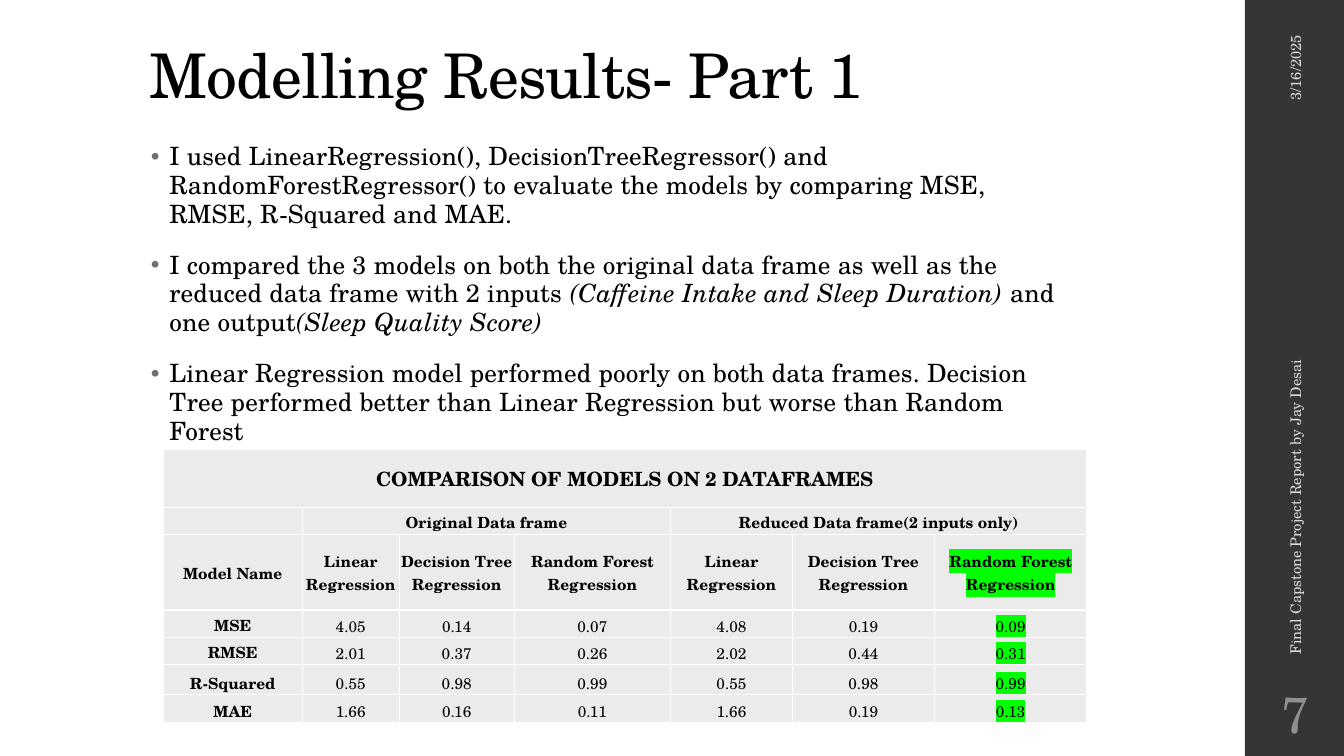
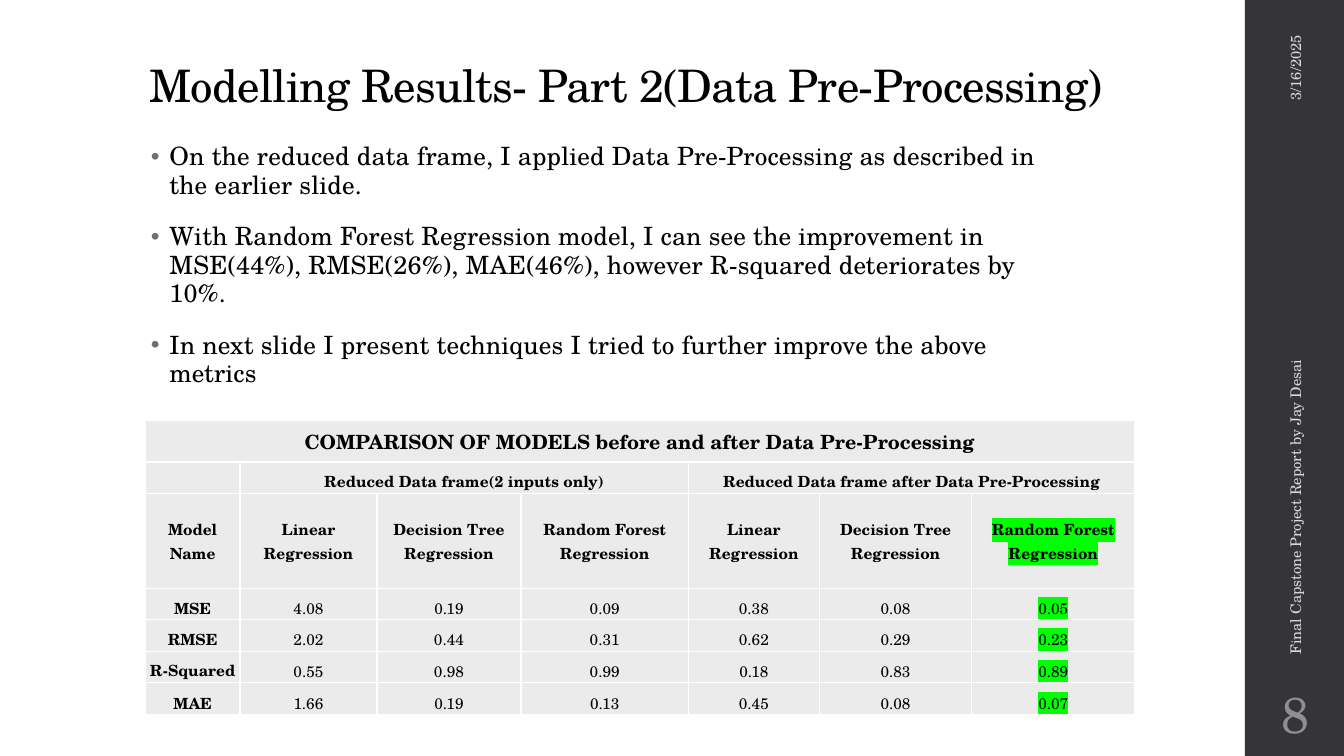
from lxml.etree import SubElement
from pptx import Presentation
from pptx.dml.color import RGBColor
from pptx.enum.shapes import MSO_SHAPE
from pptx.enum.text import MSO_ANCHOR as Anchor, PP_ALIGN as Align
from pptx.oxml import parse_xml
from pptx.oxml.ns import nsdecls, qn
from pptx.util import Cm, Pt

FONT = "TeX Gyre Schola"
COLORS = {
    "text": "000000",
    "band": "353537",
    "footer": "D9D9DB",
    "number": "8E8E94",
    "bullet": "6F6F74",
    "cell": "EBEBEB",
    "border": "FFFFFF",
    "highlight": "00FF00",
}
TITLE_BOX = (3.51, 1.02, 26.92, 1.93)
BODY_BOX = (3.51, 3.47, 23.88, 15.34)
DATE_BOX = (30, 2.77, 5.28, 1.02)
FOOTER_BOX = (27.66, 11.25, 9.96, 1.02)
NUMBER_BOX = (31.37, 17.15, 2.54, 1.65)
MODELS = ["Linear Regression", "Decision Tree Regression", "Random Forest Regression"]
METRICS = ["MSE", "RMSE", "R-Squared", "MAE"]
CELL_FORMAT = {
    "margin_left": Cm(0.03),
    "margin_right": Cm(0.03),
    "margin_top": Cm(0.03),
    "margin_bottom": Cm(0),
}

SLIDES = [
    {
        "title": "Modelling Results- Part 1",
        "title_size": 44,
        "number": "7",
        "bullets": [
            ["I used LinearRegression(), DecisionTreeRegressor() and RandomForestRegressor() "
             "to evaluate the models by comparing MSE, RMSE, R-Squared and MAE."],
            ["I compared the 3 models on both the original data frame as well as the "
             "reduced data frame with 2 inputs ",
             "(Caffeine Intake and Sleep Duration) ",
             "and one output",
             "(Sleep Quality Score)"],
            ["Linear Regression model performed poorly on both data frames. Decision Tree "
             "performed better than Linear Regression but worse than Random Forest"],
        ],
        "table_at": (4.11, 11.33),
        "columns": [3.51, 2.44, 2.9, 3.94, 3.07, 3.58, 3.84],
        "rows": [1.45, 0.69, 1.9, 0.69, 0.69, 0.76, 0.71],
        "heading": "COMPARISON OF MODELS ON 2 DATAFRAMES",
        "groups": ["Original Data frame", "Reduced Data frame(2 inputs only)"],
        "values": [
            [4.05, 0.14, 0.07, 4.08, 0.19, 0.09],
            [2.01, 0.37, 0.26, 2.02, 0.44, 0.31],
            [0.55, 0.98, 0.99, 0.55, 0.98, 0.99],
            [1.66, 0.16, 0.11, 1.66, 0.19, 0.13],
        ],
    },
    {
        "title": "Modelling Results- Part 2(Data Pre-Processing)",
        "title_size": 32,
        "number": "8",
        "bullets": [
            ["On the reduced data frame, I applied Data Pre-Processing as described in the "
             "earlier slide."],
            ["With Random Forest Regression model, I can see the improvement in MSE(44%), "
             "RMSE(26%), MAE(46%), however R-squared deteriorates by 10%."],
            ["In next slide I present techniques I tried to further improve the above metrics"],
        ],
        "table_at": (3.66, 10.6),
        "columns": [2.39, 3.45, 3.63, 4.22, 3.3, 3.84, 4.11],
        "rows": [1.04, 0.79, 2.4, 0.79, 0.79, 0.79, 0.81],
        "heading": "COMPARISON OF MODELS before and after Data Pre-Processing",
        "groups": ["Reduced Data frame(2 inputs only)",
                   "Reduced Data frame after Data Pre-Processing"],
        "values": [
            [4.08, 0.19, 0.09, 0.38, 0.08, 0.05],
            [2.02, 0.44, 0.31, 0.62, 0.29, 0.23],
            [0.55, 0.98, 0.99, 0.18, 0.83, 0.89],
            [1.66, 0.19, 0.13, 0.45, 0.08, 0.07],
        ],
    },
]


def add_run(paragraph, text, size, color="text", spacing=0, highlight=False, **formats):
    run = paragraph.add_run()
    run.text = text
    run.font.color.rgb = RGBColor.from_string(COLORS[color])
    properties = run.font._element
    if spacing:
        properties.set("spc", str(spacing))
    if highlight:
        marker = SubElement(properties, qn("a:highlight"))
        SubElement(marker, qn("a:srgbClr"), val=COLORS["highlight"])
    for name, value in {"name": FONT, "size": Pt(size), **formats}.items():
        setattr(run.font, name, value)


def add_text_box(slide, box, anchor, rotation=0):
    shape = slide.shapes.add_textbox(*map(Cm, box))
    shape.rotation = rotation
    shape.text_frame.word_wrap = True
    shape.text_frame.vertical_anchor = anchor
    return shape.text_frame


presentation = Presentation()
presentation.slide_width = Cm(33.87)
presentation.slide_height = Cm(19.05)

for content in SLIDES:
    slide = presentation.slides.add_slide(presentation.slide_layouts[6])

    band = slide.shapes.add_shape(MSO_SHAPE.RECTANGLE, Cm(31.37), Cm(0), Cm(2.5), Cm(19.05))
    band.shadow.inherit = False
    band.fill.solid()
    band.fill.fore_color.rgb = RGBColor.from_string(COLORS["band"])
    band.line.fill.background()

    paragraph = add_text_box(slide, TITLE_BOX, Anchor.BOTTOM).paragraphs[0]
    paragraph.line_spacing = 0.9
    add_run(paragraph, content["title"], content["title_size"], spacing=-50)

    body = add_text_box(slide, BODY_BOX, Anchor.TOP)
    for index, parts in enumerate(content["bullets"]):
        paragraph = body.add_paragraph() if index else body.paragraphs[0]
        bullet_format = {"line_spacing": 0.95, "space_before": Pt(14), "space_after": Pt(2)}
        for name, value in bullet_format.items():
            setattr(paragraph, name, value)
        properties = paragraph._p.get_or_add_pPr()
        properties.set("marL", str(Cm(0.51)))
        properties.set("indent", str(-Cm(0.51)))
        bullet_color = SubElement(properties, qn("a:buClr"))
        SubElement(bullet_color, qn("a:srgbClr"), val=COLORS["bullet"])
        SubElement(properties, qn("a:buSzPct"), val="80000")
        SubElement(properties, qn("a:buFont"), typeface=FONT)
        SubElement(properties, qn("a:buChar"), char="•")
        for text in parts:
            add_run(paragraph, text, 18, spacing=10, italic=text.startswith("("))

    columns, rows = content["columns"], content["rows"]
    box = (*content["table_at"], sum(columns), sum(rows))
    table = slide.shapes.add_table(len(rows), len(columns), *map(Cm, box)).table
    table.first_row = table.horz_banding = False
    for column, width in zip(table.columns, columns):
        column.width = Cm(width)
    for row, height in zip(table.rows, rows):
        row.height = Cm(height)

    first_group, second_group = content["groups"]
    grid = [
        [content["heading"]] + [""] * 6,
        ["", first_group, "", "", second_group, "", ""],
        ["Model Name"] + MODELS * 2,
    ]
    for metric, values in zip(METRICS, content["values"]):
        grid.append([metric] + [f"{value:.2f}" for value in values])

    for row_index, texts in enumerate(grid):
        for column_index, text in enumerate(texts):
            cell = table.cell(row_index, column_index)
            for name, value in CELL_FORMAT.items():
                setattr(cell, name, value)
            cell.vertical_anchor = Anchor.MIDDLE if row_index in (0, 2) else Anchor.BOTTOM
            cell.fill.solid()
            cell.fill.fore_color.rgb = RGBColor.from_string(COLORS["cell"])
            for position, side in enumerate(("lnL", "lnR", "lnT", "lnB")):
                border = parse_xml(
                    f'<a:{side} {nsdecls("a")} w="12700"><a:solidFill>'
                    f'<a:srgbClr val="{COLORS["border"]}"/></a:solidFill></a:{side}>'
                )
                cell._tc.get_or_add_tcPr().insert(position, border)
            paragraph = cell.text_frame.paragraphs[0]
            paragraph.alignment = Align.CENTER
            if text:
                add_run(
                    paragraph, text, 11 if row_index else 14,
                    highlight=row_index > 1 and column_index == 6,
                    bold=row_index < 3 or column_index == 0,
                )
            else:
                SubElement(paragraph._p, qn("a:endParaRPr"), sz="1100")

    table.cell(0, 0).merge(table.cell(0, 6))
    for start in (1, 4):
        table.cell(1, start).merge(table.cell(1, start + 2))

    for box, text, size, color, alignment, rotation in (
        (DATE_BOX, "3/16/2025", 10.5, "footer", Align.RIGHT, 270),
        (FOOTER_BOX, "Final Capstone Project Report by Jay Desai", 10.5, "footer", Align.LEFT, 270),
        (NUMBER_BOX, content["number"], 36, "number", Align.CENTER, 0),
    ):
        paragraph = add_text_box(slide, box, Anchor.MIDDLE, rotation).paragraphs[0]
        paragraph.alignment = alignment
        add_run(paragraph, text, size, color)

presentation.save("out.pptx")
